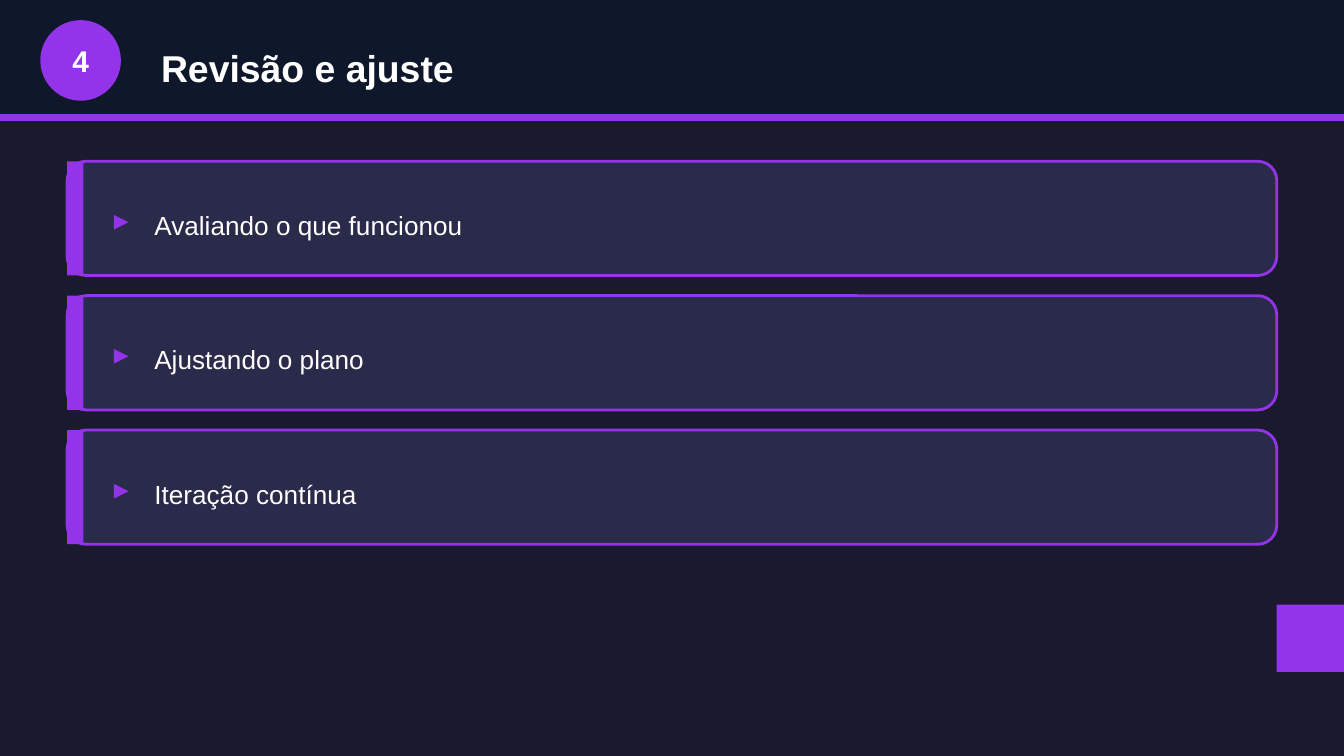
"""Builds the "Revisão e ajuste" slide with three topic cards."""
from pptx import Presentation
from pptx import util as u
from pptx.dml.color import RGBColor
from pptx.enum import shapes, text

PX = 4572
PURPLE, WHITE, NAVY = "9333EA", "FFFFFF", "0F172A"
CARD, BACKGROUND = "2A2A4A", "1A1A2E"
KIND = shapes.MSO_SHAPE

prs = Presentation()
prs.slide_width, prs.slide_height = 2000 * PX, 1125 * PX
s = prs.slides.add_slide(prs.slide_layouts[6])
s.background.fill.solid()
s.background.fill.fore_color.rgb = RGBColor.from_string(BACKGROUND)


def add_shape(kind, x, y, w, h, fill, line=None):
    sp = s.shapes.add_shape(kind, x * PX, y * PX, w * PX, h * PX)
    sp.shadow.inherit = False
    sp.fill.solid()
    sp.fill.fore_color.rgb = RGBColor.from_string(fill)
    if line:
        sp.line.color.rgb = RGBColor.from_string(line)
        sp.line.width = u.Pt(1.5)
    else:
        sp.line.fill.background()


def add_text(words, x, y, w, h, size, color=WHITE, bold=False, align=text.PP_ALIGN.LEFT):
    tf = s.shapes.add_textbox(x * PX, y * PX, w * PX, h * PX).text_frame
    tf.word_wrap = True
    tf.vertical_anchor = text.MSO_ANCHOR.MIDDLE
    p = tf.paragraphs[0]
    p.alignment = align
    r = p.add_run()
    r.text = words
    r.font.name = "Arial"
    r.font.size = u.Pt(size)
    r.font.bold = bold
    r.font.color.rgb = RGBColor.from_string(color)


add_shape(KIND.RECTANGLE, 0, 0, 2000, 180, NAVY)
add_shape(KIND.RECTANGLE, 0, 170, 2000, 10, PURPLE)
add_shape(KIND.OVAL, 60, 30, 120, 120, PURPLE)
add_text("4", 60, 50, 120, 80, size=16, bold=True, align=text.PP_ALIGN.CENTER)
add_text("Revisão e ajuste", 220, 50, 1700, 100, size=20, bold=True)

topics = ["Avaliando o que funcionou", "Ajustando o plano", "Iteração contínua"]
for i, topic in enumerate(topics):
    top = 240 + 200 * i
    add_shape(KIND.ROUNDED_RECTANGLE, 100, top, 1800, 170, CARD, line=PURPLE)
    add_shape(KIND.RECTANGLE, 100, top, 24, 170, PURPLE)
    add_text("▸", 150, top + 50, 60, 70, size=16, color=PURPLE, bold=True)
    add_text(topic, 210, top + 50, 1640, 90, size=14)

add_shape(KIND.RECTANGLE, 1900, 900, 100, 100, PURPLE)

prs.save("out.pptx")
